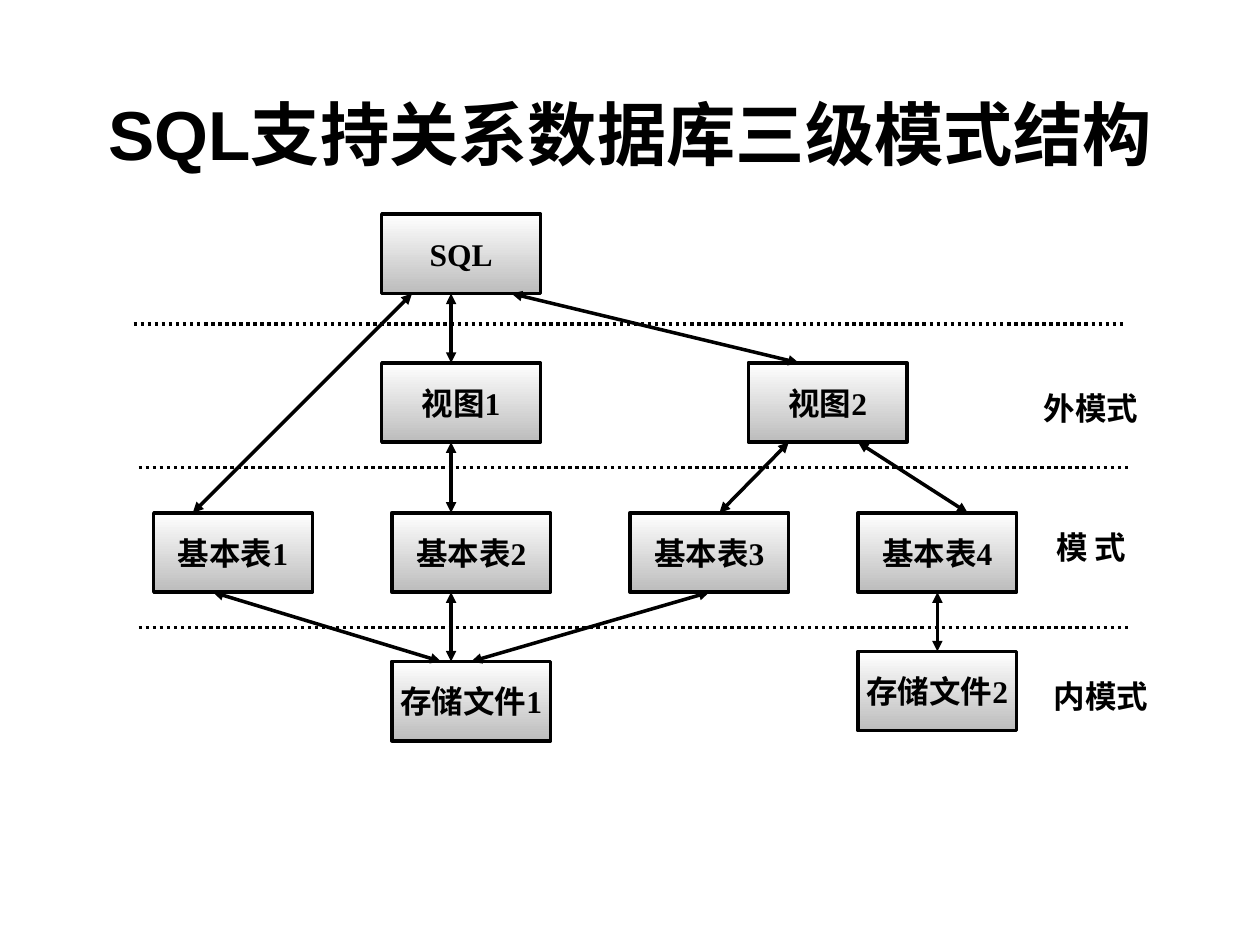
from lxml.etree import SubElement
from pptx import Presentation
from pptx.dml.color import RGBColor
from pptx.enum.dml import MSO_LINE
from pptx.enum.shapes import MSO_CONNECTOR, MSO_SHAPE
from pptx.enum.text import MSO_ANCHOR, PP_ALIGN
from pptx.oxml.ns import qn
from pptx.util import Pt

BLACK = RGBColor(0x00, 0x00, 0x00)
WHITE = RGBColor(0xFF, 0xFF, 0xFF)
GRAY = RGBColor(0xBC, 0xBC, 0xBC)

PX = 9144  # EMU per px, 100 px to the inch
TOP, BOTTOM = 0, 2  # connection sites of a rectangle
BOX_W, BOX_H = 126, 63


class Diagram:
    title_font, body_font = "Arial", "Times New Roman"
    title_size, body_size = Pt(39.6), Pt(18)
    line_width = Pt(2)

    def __init__(self, slide):
        self.shapes = slide.shapes

    def set_text(self, shape, text, font, size, wrap=True):
        frame = shape.text_frame
        frame.word_wrap = wrap
        frame.vertical_anchor = MSO_ANCHOR.MIDDLE
        frame.text = text
        paragraph = frame.paragraphs[0]
        paragraph.alignment = PP_ALIGN.CENTER
        paragraph.font.name = font
        paragraph.font.size = size
        paragraph.font.bold = True
        paragraph.font.color.rgb = BLACK
        return paragraph

    def textbox(self, x, y, w, h):
        return self.shapes.add_textbox(x * PX, y * PX, w * PX, h * PX)

    def title(self, text, x, y, w, h):
        heading = self.set_text(self.textbox(x, y, w, h), text, self.title_font, self.title_size)
        heading.line_spacing = 1.4

    def label(self, text, x, y):
        self.set_text(self.textbox(x, y, 118, 40), text, self.body_font, self.body_size)

    def box(self, text, x, y):
        box = self.shapes.add_shape(MSO_SHAPE.RECTANGLE, x * PX, y * PX, BOX_W * PX, BOX_H * PX)
        box.shadow.inherit = False
        box.fill.gradient()
        box.fill.gradient_angle = 270
        for stop, position, color in zip(box.fill.gradient_stops, (0, 1), (WHITE, GRAY)):
            stop.position = position
            stop.color.rgb = color
        box.line.color.rgb = BLACK
        box.line.width = self.line_width
        self.set_text(box, text, self.body_font, self.body_size, wrap=False)
        return box

    def line(self, x1, y1, x2, y2):
        line = self.shapes.add_connector(
            MSO_CONNECTOR.STRAIGHT, x1 * PX, y1 * PX, x2 * PX, y2 * PX)
        line.line.color.rgb = BLACK
        line.line.width = self.line_width
        SubElement(line._element.spPr, qn("a:effectLst"))
        return line

    def divider(self, x1, x2, y):
        self.line(x1, y, x2, y).line.dash_style = MSO_LINE.ROUND_DOT

    def arrow(self, x1, y1, x2, y2):
        arrow = self.line(x1, y1, x2, y2)
        for end in ("a:headEnd", "a:tailEnd"):
            SubElement(arrow.get_or_add_ln(), qn(end), type="triangle")
        return arrow

    def join(self, upper, lower):
        arrow = self.arrow(0, 0, 0, 0)
        arrow.begin_connect(upper, BOTTOM)
        arrow.end_connect(lower, TOP)


def main():
    prs = Presentation()
    prs.slide_width, prs.slide_height = 1000 * PX, 750 * PX
    diagram = Diagram(prs.slides.add_slide(prs.slide_layouts[6]))

    diagram.title("SQL支持关系数据库三级模式结构", 50, 30, 900, 125)

    # Boxes, level by level
    sql_y, view_y, table_y, file_y = 170, 288, 407, 525
    placed = [
        ("SQL", 303, sql_y),
        ("视图1", 303, view_y), ("视图2", 594, view_y),
        ("基本表1", 122, table_y), ("基本表2", 311, table_y),
        ("基本表3", 500, table_y), ("基本表4", 681, table_y),
        ("存储文件1", 311, file_y), ("存储文件2", 681, file_y - 8),
    ]
    boxes = {text: diagram.box(text, x, y) for text, x, y in placed}

    # Two-way arrows from the bottom of one level to the top of another
    for x1, upper_y, x2, lower_y in [
        (327, sql_y, 153, table_y),
        (358, sql_y, 358, view_y),
        (406, sql_y, 634, view_y),
        (358, view_y, 358, table_y),
        (626, view_y, 571, table_y),
        (681, view_y, 768, table_y),
        (169, table_y, 350, file_y),
        (358, table_y, 358, file_y),
    ]:
        diagram.arrow(x1, upper_y + BOX_H, x2, lower_y)
    diagram.join(boxes["基本表3"], boxes["存储文件1"])
    diagram.join(boxes["基本表4"], boxes["存储文件2"])

    # Dotted borders between the levels
    for x1, x2, y in [(106, 894, 257), (110, 897, 371), (110, 897, 498)]:
        diagram.divider(x1, x2, y)

    # Names of the levels
    for text, x, y in [("外模式", 807, 304), ("模 式", 807, 414), ("内模式", 815, 532)]:
        diagram.label(text, x, y)

    prs.save("out.pptx")


if __name__ == "__main__":
    main()
